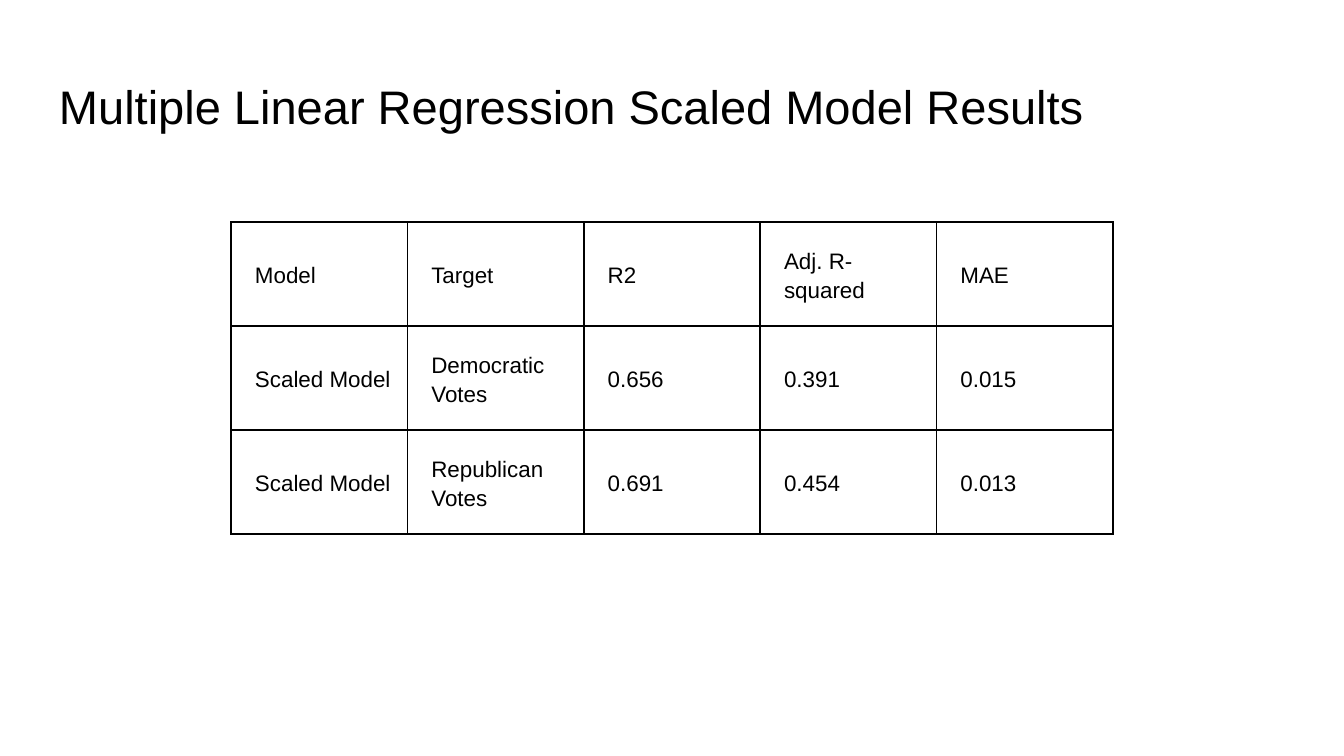
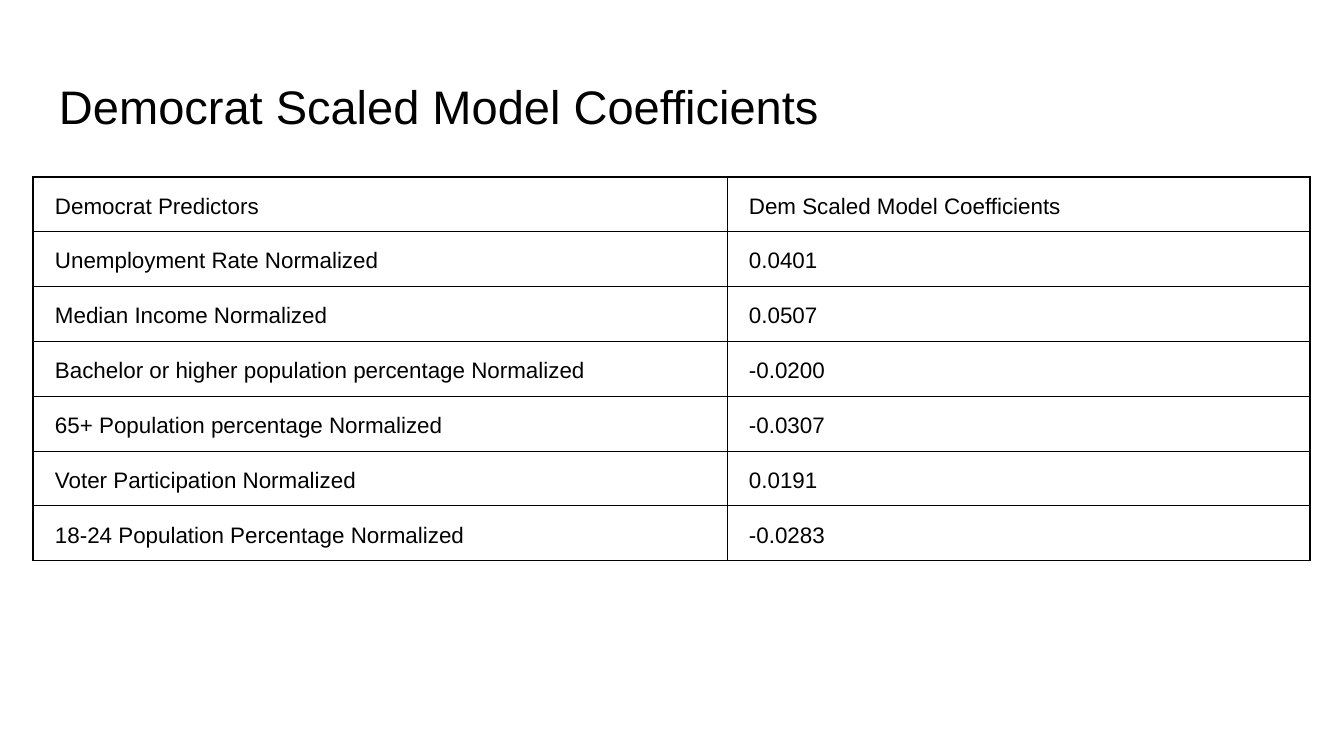
"""Builds two slides of regression results, each a title over a ruled table."""
from lxml.etree import SubElement
from pptx import Presentation
from pptx.dml.color import RGBColor
from pptx.enum.text import MSO_ANCHOR, PP_ALIGN
from pptx.oxml.ns import qn
from pptx.util import Pt

BLACK = RGBColor(0, 0, 0)
WHITE = RGBColor(255, 255, 255)
FONT = "Arial"
PX = 914400 / 134.4
SLIDE_SIZE = (1344, 756)
TITLE_BOX = (46, 62, 1252, 85)
INSET = 13

SLIDES = [
    {
        "title": "Multiple Linear Regression Scaled Model Results",
        "rows": [
            ("Model", "Target", "R2", "Adj. R-squared", "MAE"),
            ("Scaled Model", "Democratic Votes", "0.656", "0.391", "0.015"),
            ("Scaled Model", "Republican Votes", "0.691", "0.454", "0.013"),
        ],
        "origin": (231, 222),
        "widths": [882 / 5] * 5,
        "row_height": 104,
        "indent": 11,
        "space_after": 8,
        "fill": WHITE,
        "outer": 1,
        "inner": 1,
    },
    {
        "title": "Democrat Scaled Model Coefficients",
        "rows": [
            ("Democrat Predictors", "Dem Scaled Model Coefficients"),
            ("Unemployment Rate Normalized", "0.0401"),
            ("Median Income Normalized", "0.0507"),
            ("Bachelor or higher population percentage Normalized", "-0.0200"),
            ("65+ Population percentage Normalized", "-0.0307"),
            ("Voter Participation Normalized", "0.0191"),
            ("18-24 Population Percentage Normalized", "-0.0283"),
        ],
        "origin": (33, 177),
        "widths": [694, 583],
        "row_height": 54,
        "indent": 9,
        "space_after": 0,
        "fill": None,
        "outer": 0.75,
        "inner": 0.5,
    },
]


def px(n):
    return round(n * PX)


def set_all(target, values):
    for name, value in values.items():
        setattr(target, name, value)


def style_text(p, size):
    p.alignment = PP_ALIGN.LEFT
    set_all(p.runs[0].font, {"name": FONT, "size": Pt(size), "bold": False})
    p.runs[0].font.color.rgb = BLACK


def add_title(s, text):
    title = s.shapes.title
    set_all(title, dict(zip(("left", "top", "width", "height"), map(px, TITLE_BOX))))
    tf = title.text_frame
    tf.text = text
    set_all(tf, {"word_wrap": True, "vertical_anchor": MSO_ANCHOR.BOTTOM})
    set_all(tf, {f"margin_{side}": px(INSET) for side in ("left", "top", "right", "bottom")})
    style_text(tf.paragraphs[0], 25.2)


def add_borders(cell, widths):
    tc_pr = cell._tc.get_or_add_tcPr()
    for side, width in widths.items():
        line = SubElement(tc_pr, qn(f"a:ln{side}"), w=str(Pt(width)))
        fill = SubElement(line, qn("a:solidFill"))
        SubElement(fill, qn("a:srgbClr"), val=str(BLACK))


def format_cell(cell, text, data, edges):
    set_all(cell, {f"margin_{side}": px(INSET) for side in ("left", "top", "right", "bottom")})
    set_all(cell, {"text": text, "vertical_anchor": MSO_ANCHOR.MIDDLE})
    p = cell.text_frame.paragraphs[0]
    set_all(p, {"line_spacing": 1.15, "space_after": Pt(data["space_after"])})
    style_text(p, 12)
    p_pr = p._p.get_or_add_pPr()
    p_pr.set("marL", str(px(data["indent"])))
    p_pr.set("indent", "0")
    add_borders(cell, {side: data["outer" if edge else "inner"] for side, edge in edges.items()})
    if data["fill"] is None:
        cell.fill.background()
    else:
        cell.fill.solid()
        cell.fill.fore_color.rgb = data["fill"]


def add_results(s, data):
    rows, widths = data["rows"], data["widths"]
    size = (sum(widths), data["row_height"] * len(rows))
    frame = s.shapes.add_table(len(rows), len(widths), *map(px, data["origin"] + size))
    table = frame.table
    set_all(table, {"first_row": False, "horz_banding": False})
    for column, width in zip(table.columns, widths):
        column.width = px(width)
    for i, row in enumerate(rows):
        table.rows[i].height = px(data["row_height"])
        for j, text in enumerate(row):
            edges = {"L": j == 0, "R": j == len(row) - 1, "T": i == 0, "B": i == len(rows) - 1}
            format_cell(table.cell(i, j), text, data, edges)


def main():
    prs = Presentation()
    prs.slide_width, prs.slide_height = map(px, SLIDE_SIZE)
    for data in SLIDES:
        s = prs.slides.add_slide(prs.slide_layouts.get_by_name("Title Only"))
        add_title(s, data["title"])
        add_results(s, data)
    prs.save("out.pptx")


if __name__ == "__main__":
    main()
